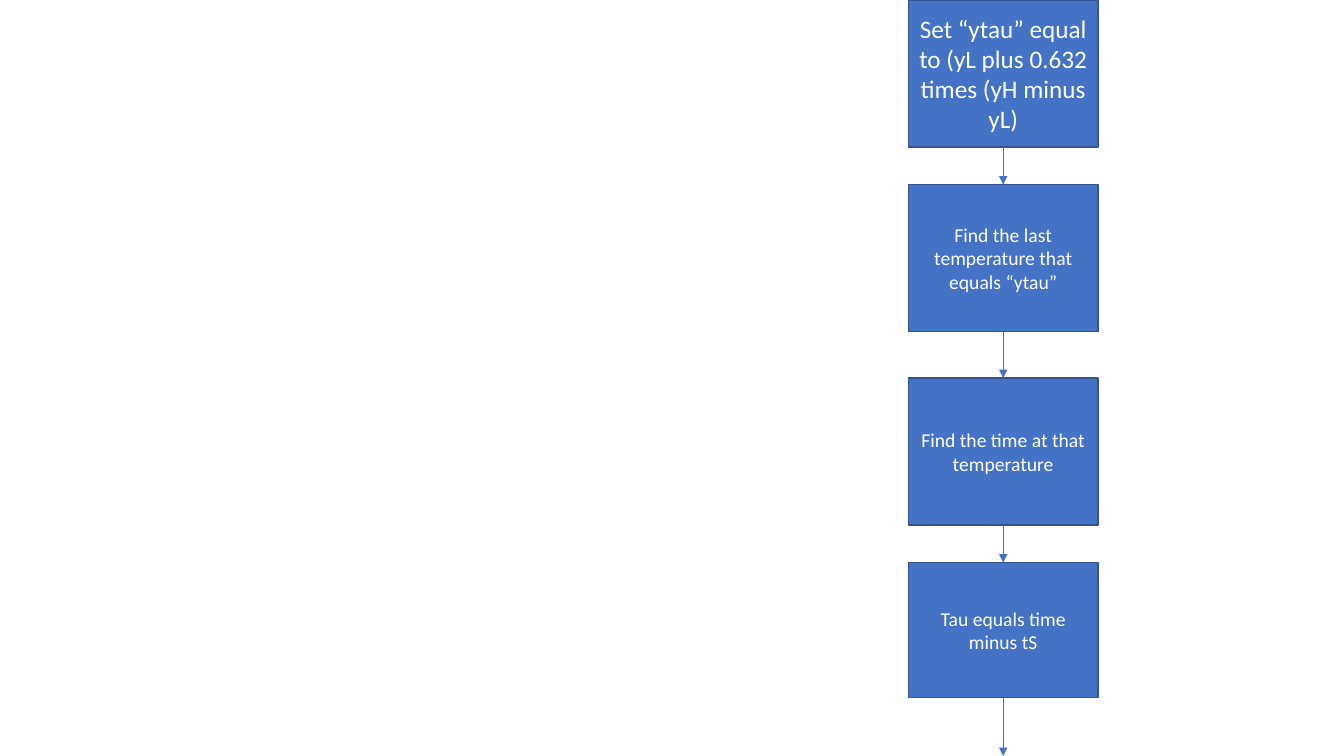
from dataclasses import dataclass
from itertools import pairwise

from lxml.etree import SubElement
from pptx import Presentation
from pptx.dml.color import RGBColor
from pptx.enum.shapes import MSO_CONNECTOR, MSO_SHAPE
from pptx.enum.text import MSO_ANCHOR, PP_ALIGN
from pptx.oxml.ns import qn
from pptx.util import Pt

EMU_PER_PX = 9144  # 100 px to the inch
SLIDE_WIDTH, SLIDE_HEIGHT = 1333, 750
BOX_LEFT, BOX_WIDTH = 901, 188
TOP, BOTTOM = 0, 2  # connection sites of a rectangle


@dataclass(frozen=True)
class Theme:
    font: str = "Calibri"
    fill: RGBColor = RGBColor(0x44, 0x72, 0xC4)
    outline: RGBColor = RGBColor(0x32, 0x54, 0x91)
    text: RGBColor = RGBColor(0xFF, 0xFF, 0xFF)
    large: Pt = Pt(18)
    normal: Pt = Pt(14)
    outline_width: Pt = Pt(1)
    arrow_width: Pt = Pt(0.5)


THEME = Theme()

# text, top, height, type size
STEPS = [
    ("Set “ytau” equal to (yL plus 0.632 times (yH minus yL)", 0, 146, THEME.large),
    ("Find the last temperature that equals “ytau”", 183, 146, THEME.normal),
    ("Find the time at that temperature", 375, 146, THEME.normal),
    ("Tau equals time minus tS", 558, 134, THEME.normal),
]


def px(length):
    return length * EMU_PER_PX


def add_step(slide, text, top, height, size):
    shape = slide.shapes.add_shape(
        MSO_SHAPE.RECTANGLE, px(BOX_LEFT), px(top), px(BOX_WIDTH), px(height)
    )
    shape.shadow.inherit = False
    shape.fill.solid()
    shape.fill.fore_color.rgb = THEME.fill
    shape.line.color.rgb = THEME.outline
    shape.line.width = THEME.outline_width
    text_frame = shape.text_frame
    text_frame.word_wrap = True
    text_frame.vertical_anchor = MSO_ANCHOR.MIDDLE
    text_frame.text = text
    paragraph = text_frame.paragraphs[0]
    paragraph.alignment = PP_ALIGN.CENTER
    paragraph.font.name = THEME.font
    paragraph.font.size = size
    paragraph.font.color.rgb = THEME.text
    return shape


def add_down_arrow(slide, source, target=None):
    """Point from the source's bottom to the target, or to the slide's edge."""
    center = source.left + source.width // 2
    end = target.top if target else px(SLIDE_HEIGHT)
    connector = slide.shapes.add_connector(
        MSO_CONNECTOR.STRAIGHT, center, source.top + source.height, center, end
    )
    connector.begin_connect(source, BOTTOM)
    if target:
        connector.end_connect(target, TOP)
    connector.line.color.rgb = THEME.fill
    connector.line.width = THEME.arrow_width
    SubElement(connector.line._get_or_add_ln(), qn("a:tailEnd"), type="triangle")
    SubElement(connector._element.spPr, qn("a:effectLst"))


def main():
    presentation = Presentation()
    presentation.slide_width = px(SLIDE_WIDTH)
    presentation.slide_height = px(SLIDE_HEIGHT)
    slide = presentation.slides.add_slide(presentation.slide_layouts[6])
    boxes = [add_step(slide, *step) for step in STEPS]
    for source, target in pairwise(boxes):
        add_down_arrow(slide, source, target)
    add_down_arrow(slide, boxes[-1])
    presentation.save("out.pptx")


if __name__ == "__main__":
    main()
